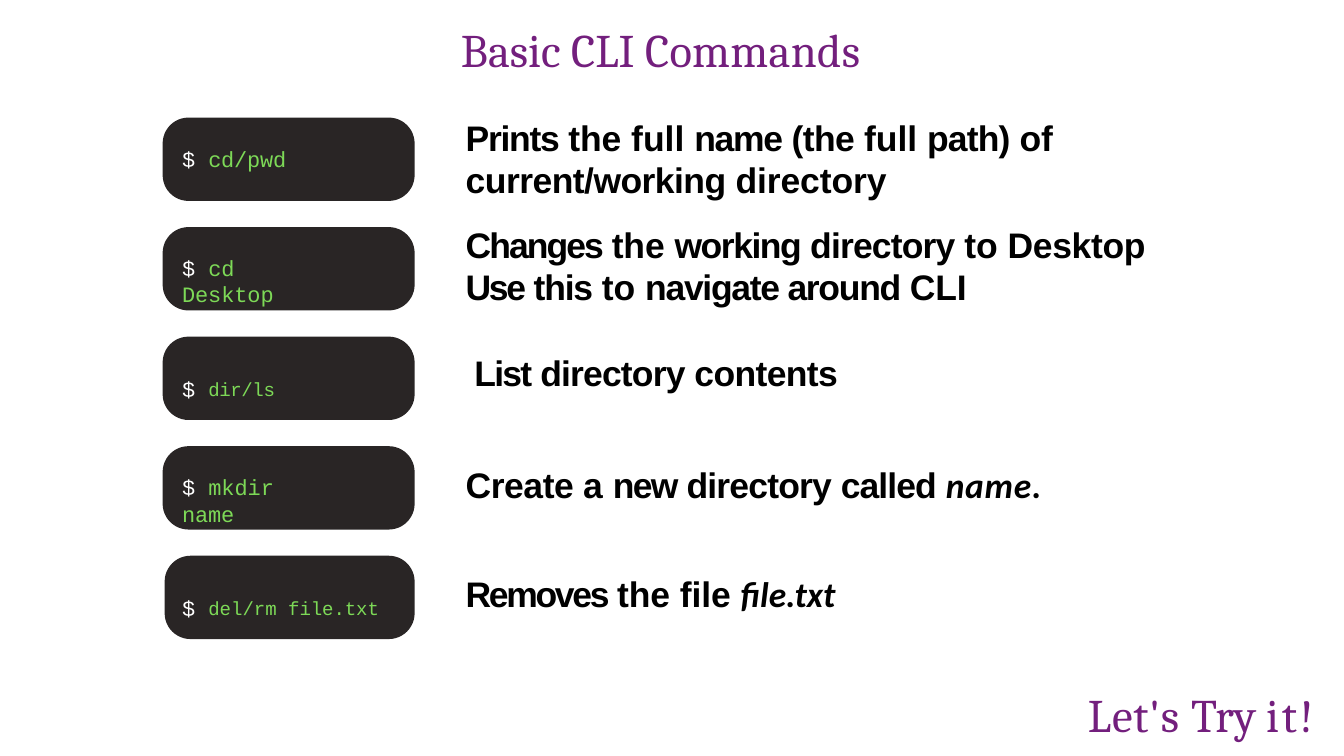
"""Build a slide that pairs basic CLI commands with what they do."""
from typing import NamedTuple

from pptx import Presentation, util as u
from pptx.dml.color import RGBColor
from pptx.enum import shapes, text
from pptx.oxml.ns import qn


class Style(NamedTuple):
    face: str
    size: float
    color: str
    bold: bool = False
    ital: bool = False
    base: int = 0


class Bit(NamedTuple):
    words: str
    gap: float
    style: Style


class Note(NamedTuple):
    left: float
    top: float
    width: float
    bits: list[Bit]


class Prompt(NamedTuple):
    left: float
    width: float
    bits: list[Bit]


HEAD = Style("Cambria", 50, "731F7D")
CODE = Style("Courier New", 23.5, "7DD957")
SIGN = CODE._replace(color="FFFFFF")
RAISED = CODE._replace(size=35.2, base=1000)
BODY = Style("Arial", 38, "000000", True)
NAME = BODY._replace(face="Calibri", ital=True)

TOP, PITCH, TALL, RIGHT = 1.75, 1.63, 1.24, 6.17
PILL = "292525"


def bits(style: Style, *pairs: tuple[str, float]) -> list[Bit]:
    """Give every pair of words and spacing the same style."""
    return [Bit(words, gap, style) for words, gap in pairs]


PROMPTS = [
    Prompt(2.42, 2.31, bits(CODE, ("cd/pwd", -0.2))),
    Prompt(2.42, 2.31, bits(CODE, ("cd ", 0), ("Desktop", -0.1))),
    Prompt(2.42, 2.05, bits(RAISED, ("dir/ls", -0.4))),
    Prompt(2.42, 2.31, bits(CODE, ("mkdir ", 0), ("name", -0.2))),
    Prompt(2.45, 3.48, bits(RAISED._replace(base=2000), ("del/rm ", 0), ("file.txt", -0.1))),
]

PRINTS = bits(
    BODY, ("Prints ", -1.4), ("the ", -0.1), ("full ", 0), ("name ", -1.4),
    ("(the ", -0.7), ("full ", 0), ("path) ", -0.9), ("of ", -0.2),
    ("current/working ", -0.6), ("directory", -0.1))
CHANGES = bits(
    BODY, ("Changes ", -2.1), ("the ", -0.1), ("working ", -1.6),
    ("directory ", -0.9), ("to ", 0), ("Desktop ", -0.4), ("Use ", -2.5),
    ("this ", -1.3), ("to ", 0), ("navigate around ", -1.4), ("CLI", -0.2))
NOTES = [
    Note(7.05, 5.2, 5.53, bits(
        BODY, ("List ", -1.9), ("directory ", -0.9), ("contents", -0.7))),
    Note(6.92, 6.87, 8.61, bits(
        BODY, ("Create ", -0.5), ("a ", 0), ("new ", -1.8),
        ("directory ", -0.9), ("called ", -1)) + [Bit("name.", 0.8, NAME)]),
    Note(6.92, 8.49, 5.64, bits(
        BODY, ("Removes ", -2.5), ("the file ", -0.1)) + [Bit("file.txt", -0.1, NAME)]),
]


def paint(fmt, color: str) -> None:
    """Fill a shape or a font with a hex colour."""
    fmt.fill.solid()
    fmt.fill.fore_color.rgb = RGBColor.from_string(color)


def place(shape, left: float, top: float, width: float, height: float) -> None:
    """Move and size a shape in inches."""
    shape.left, shape.top = u.Inches(left), u.Inches(top)
    shape.width, shape.height = u.Inches(width), u.Inches(height)


def setup(shape, inset: float = 0.01):
    """Set up the text frame of a shape and return it."""
    frame = shape.text_frame
    frame.word_wrap = True
    frame.auto_size = text.MSO_AUTO_SIZE.SHAPE_TO_FIT_TEXT
    frame.vertical_anchor = text.MSO_ANCHOR.TOP
    frame.margin_left = frame.margin_right = frame.margin_bottom = 0
    frame.margin_top = u.Inches(inset)
    return frame


def write(para, parts: list[Bit], indent: float = 0.01) -> None:
    """Write a left-aligned paragraph run by run."""
    props = para._p.get_or_add_pPr()
    props.set("marL", str(u.Inches(indent)))
    props.set("indent", "0")
    props.append(props.makeelement(qn("a:buNone"), {}))
    para.alignment = text.PP_ALIGN.LEFT
    para.space_before = u.Pt(0)
    for words, gap, style in parts:
        run = para.add_run()
        run.text = words
        font = run.font
        font.name, font.size = style.face, u.Pt(style.size)
        font.bold, font.italic = style.bold, style.ital
        paint(font, style.color)
        mark = run._r.get_or_add_rPr()
        mark.set("spc", str(round(gap * 100)))
        if style.base:
            mark.set("baseline", str(style.base))


def label(slide, note: Note, height: float, inset: float = 0.01) -> None:
    """Add a text box with one paragraph."""
    box = slide.shapes.add_textbox(0, 0, 0, 0)
    place(box, note.left, note.top, note.width, height)
    write(setup(box, inset).paragraphs[0], note.bits)


def pill(slide, left: float, top: float) -> None:
    """Add a dark rounded panel that ends at the shared right edge."""
    shape = slide.shapes.add_shape(shapes.MSO_SHAPE.ROUNDED_RECTANGLE, 0, 0, 0, 0)
    place(shape, left, top, RIGHT - left, TALL)
    shape.adjustments[0] = 0.31
    shape.shadow.inherit = False
    paint(shape, PILL)
    shape.line.fill.background()


def main() -> None:
    """Build and save the slide."""
    deck = Presentation()
    deck.slide_width, deck.slide_height = u.Inches(20), u.Inches(11.25)
    slide = deck.slides.add_slide(deck.slide_layouts[1])
    title, body = slide.placeholders

    place(title, 3.2, 0.3, 13.32, 1.36)
    write(setup(title).paragraphs[0],
          bits(HEAD, ("Basic CLI ", 0), ("Commands", 0.3)), 3.66)

    place(body, 6.92, 1.68, 11, 2.9)
    frame = setup(body, 0.05)
    first, second = frame.paragraphs[0], frame.add_paragraph()
    for para, parts in ((first, PRINTS), (second, CHANGES)):
        write(para, parts)
        para.line_spacing = u.Pt(45)
    second.space_before = u.Pt(25.1)

    for row, prompt in enumerate(PROMPTS):
        top = TOP + row * PITCH
        pill(slide, prompt.left, top)
        line = [Bit("$ ", -0.2, SIGN)] + prompt.bits
        label(slide, Note(2.7, top + 0.4, prompt.width, line), 0.41)

    for note in NOTES:
        label(slide, note, 0.67, 0.02)
    label(slide, Note(16.18, 10.19, 3.62, bits(
        HEAD, ("Let's ", 0.8), ("Try ", -0.3), ("it!", 3.2))), 0.86)

    deck.save("out.pptx")


if __name__ == "__main__":
    main()
